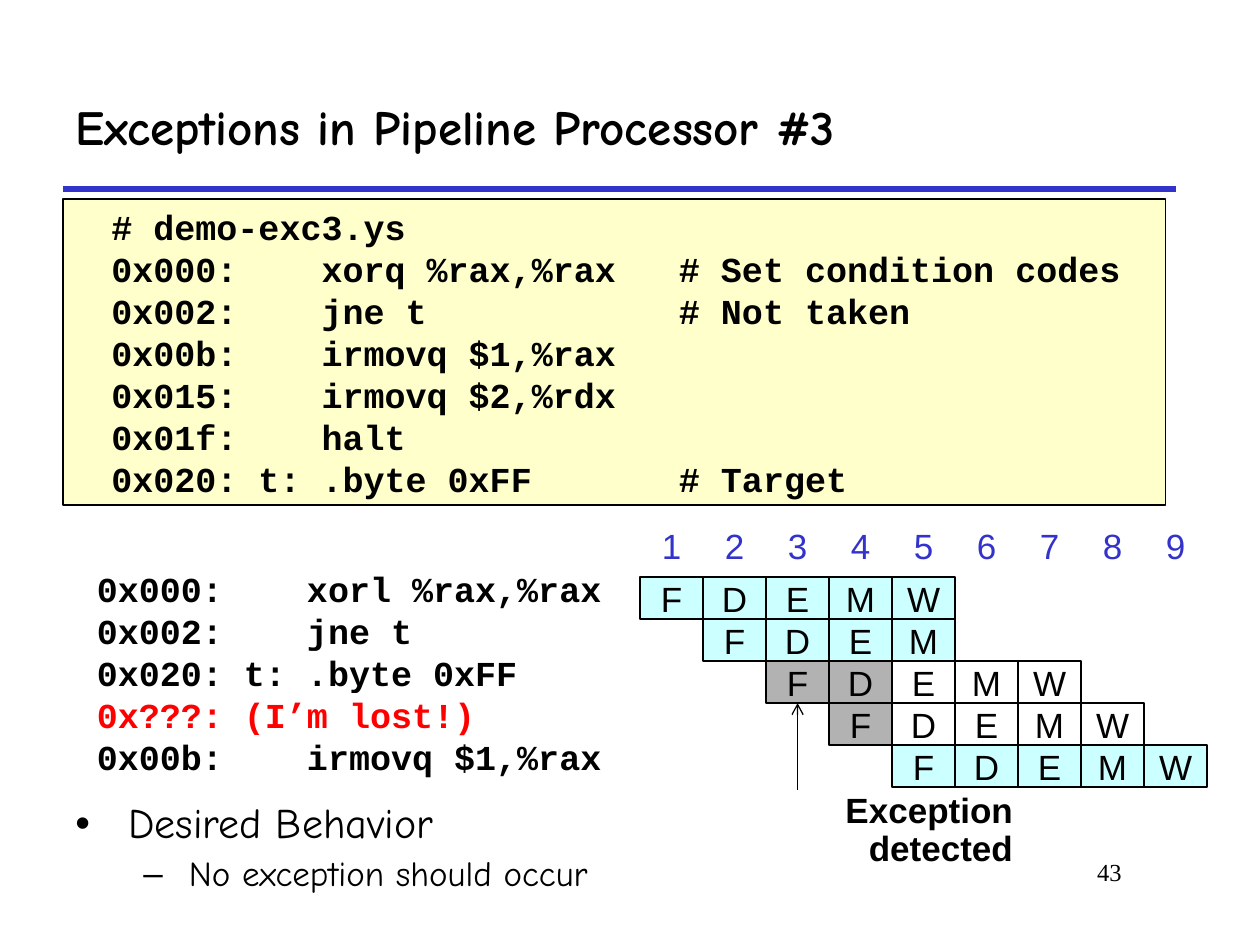
from lxml.etree import SubElement
from pptx import Presentation
from pptx.dml.color import RGBColor
from pptx.enum.shapes import MSO_CONNECTOR, MSO_SHAPE
from pptx.enum.text import MSO_ANCHOR as ANCHOR, PP_ALIGN as ALIGN
from pptx.oxml.ns import qn
from pptx.util import Inches, Pt

COLORS = {
    "black": "000000", "white": "FFFFFF", "blue": "3333CC", "red": "FF0000",
    "cream": "FFFFCC", "cyan": "CCFFFF", "gray": "B2B2B2",
}
SANS, MONO, COMIC, SERIF = "Arial", "Courier New", "Comic Neue", "Times New Roman"

CODE = """\
  # demo-exc3.ys
  0x000:    xorq %rax,%rax   # Set condition codes
  0x002:    jne t            # Not taken
  0x00b:    irmovq $1,%rax
  0x015:    irmovq $2,%rdx
  0x01f:    halt
  0x020: t: .byte 0xFF       # Target"""

# Instruction, its colour, and the stages it passes with the fill of each
TRACE = [
    ("0x000:    xorl %rax,%rax", "black", "FDEMW", ["cyan"] * 5),
    ("0x002:    jne t", "black", "FDEM", ["cyan"] * 4),
    ("0x020: t: .byte 0xFF", "black", "FDEMW", ["gray"] * 2 + ["white"] * 3),
    ("0x???: (I’m lost!)", "red", "FDEMW", ["gray"] + ["white"] * 4),
    ("0x00b:    irmovq $1,%rax", "black", "FDEMW", ["cyan"] * 5),
]
CYCLES = 9
CELL_W, ROW_H = 0.5, 1 / 3


def rgb(name):
    return RGBColor.from_string(COLORS[name])


def add_bullet(p, char, left, hanging):
    pPr = p._p.get_or_add_pPr()
    pPr.set("marL", str(Inches(left)))
    pPr.set("indent", str(-Inches(hanging)))
    SubElement(pPr, qn("a:buFont"), typeface=SANS)
    SubElement(pPr, qn("a:buChar"), char=char)


def write(sp, text, size=20, font=SANS, color="black", bold=False, align=ALIGN.LEFT,
          anchor=ANCHOR.TOP, wrap=True, inset=(0.1, 0.05), spacing=None):
    """Fill a shape with text, one paragraph for each line."""
    tf = sp.text_frame
    tf.word_wrap = wrap
    tf.vertical_anchor = anchor
    tf.margin_left = tf.margin_right = Inches(inset[0])
    tf.margin_top = tf.margin_bottom = Inches(inset[1])
    tf.text = text
    for p in tf.paragraphs:
        p.alignment = align
        p.line_spacing = spacing
        for r in p.runs:
            r.font.size, r.font.name, r.font.bold = Pt(size), font, bold
            r.font.color.rgb = rgb(color)
    return tf


def add_text(slide, x, y, w, h, text, **fmt):
    sp = slide.shapes.add_textbox(Inches(x), Inches(y), Inches(w), Inches(h))
    return write(sp, text, **fmt)


def add_box(slide, x, y, w, h, text, fill="white", line=None, **fmt):
    """Rectangle with text; line is the outline width in points."""
    sp = slide.shapes.add_shape(
        MSO_SHAPE.RECTANGLE, Inches(x), Inches(y), Inches(w), Inches(h))
    sp.shadow.inherit = False
    sp.fill.solid()
    sp.fill.fore_color.rgb = rgb(fill)
    if line:
        sp.line.color.rgb = rgb("black")
        sp.line.width = Pt(line)
    else:
        sp.line.fill.background()
    write(sp, text, **fmt)


def add_line(slide, x1, y1, x2, y2, color, width, arrow=False):
    cn = slide.shapes.add_connector(
        MSO_CONNECTOR.STRAIGHT, Inches(x1), Inches(y1), Inches(x2), Inches(y2))
    cn.line.color.rgb = rgb(color)
    cn.line.width = Pt(width)
    if arrow:
        SubElement(cn.line._get_or_add_ln(), qn("a:tailEnd"), type="arrow")
    SubElement(cn._element.spPr, qn("a:effectLst"))


def add_heading(slide, x, y, w, h):
    add_line(slide, x, y + h, x + w, y + h, "blue", 3)
    add_text(slide, x, y, w, h, "Exceptions in Pipeline Processor #3",
             size=28, font=COMIC, bold=True, anchor=ANCHOR.MIDDLE)


def add_trace(slide, x, y, w):
    """Instructions in the order they are fetched."""
    for row, (instruction, color, _, _) in enumerate(TRACE):
        add_box(slide, x, y + row * ROW_H, w, ROW_H, instruction, font=MONO,
                color=color, bold=True, anchor=ANCHOR.MIDDLE, wrap=False)


def add_pipeline(slide, x, y):
    """Cycle numbers above a staircase of stages, one step for each instruction."""
    centred = dict(align=ALIGN.CENTER, anchor=ANCHOR.MIDDLE, wrap=False)
    for cycle in range(CYCLES):
        add_box(slide, x + cycle * CELL_W, y, CELL_W, ROW_H, str(cycle + 1),
                color="blue", **centred)
    top = y + 0.42
    for row, (_, _, stages, fills) in enumerate(TRACE):
        for step, (stage, fill) in enumerate(zip(stages, fills)):
            add_box(slide, x + (row + step) * CELL_W, top + row * ROW_H,
                    CELL_W, ROW_H, stage, fill=fill, line=1, **centred)


def add_exception_note(slide, x, y, w, h):
    add_line(slide, x + 0.84, y + 0.02, x + 0.84, y - 0.67, "black", 0.75, arrow=True)
    add_text(slide, x, y, w, h, "Exception detected", bold=True,
             align=ALIGN.RIGHT, inset=(0.05, 0.05), spacing=0.9)


def add_behavior(slide, x, y, w, h):
    tf = add_text(slide, x, y, w, h, "Desired Behavior\nNo exception should occur",
                  size=24, font=COMIC, spacing=0.9)
    tf.margin_top = Inches(0.29)
    topic, detail = tf.paragraphs
    detail.space_before = Pt(5)
    detail.runs[0].font.size = Pt(20)
    add_bullet(topic, "•", 0.42, 0.42)
    add_bullet(detail, "–", 0.9, 0.36)


def main():
    prs = Presentation()
    prs.slide_width, prs.slide_height = Inches(10), Inches(7.5)
    slide = prs.slides.add_slide(prs.slide_layouts[6])
    add_heading(slide, 0.5, 0.5, 8.83, 1)
    add_text(slide, 7.58, 6.75, 1.42, 0.5, "43", size=14, font=SERIF, align=ALIGN.RIGHT)
    add_behavior(slide, 0.5, 6.08, 9.08, 1.09)
    add_box(slide, 0.5, 1.58, 8.75, 2.43, CODE, fill="cream", line=0.75,
            font=MONO, bold=True, inset=(0.05, 0.05))
    add_exception_note(slide, 5.49, 6.25, 2.6, 0.7)
    add_trace(slide, 0.67, 4.5, 2.84)
    add_pipeline(slide, 5.08, 4.16)
    prs.save("out.pptx")


if __name__ == "__main__":
    main()
